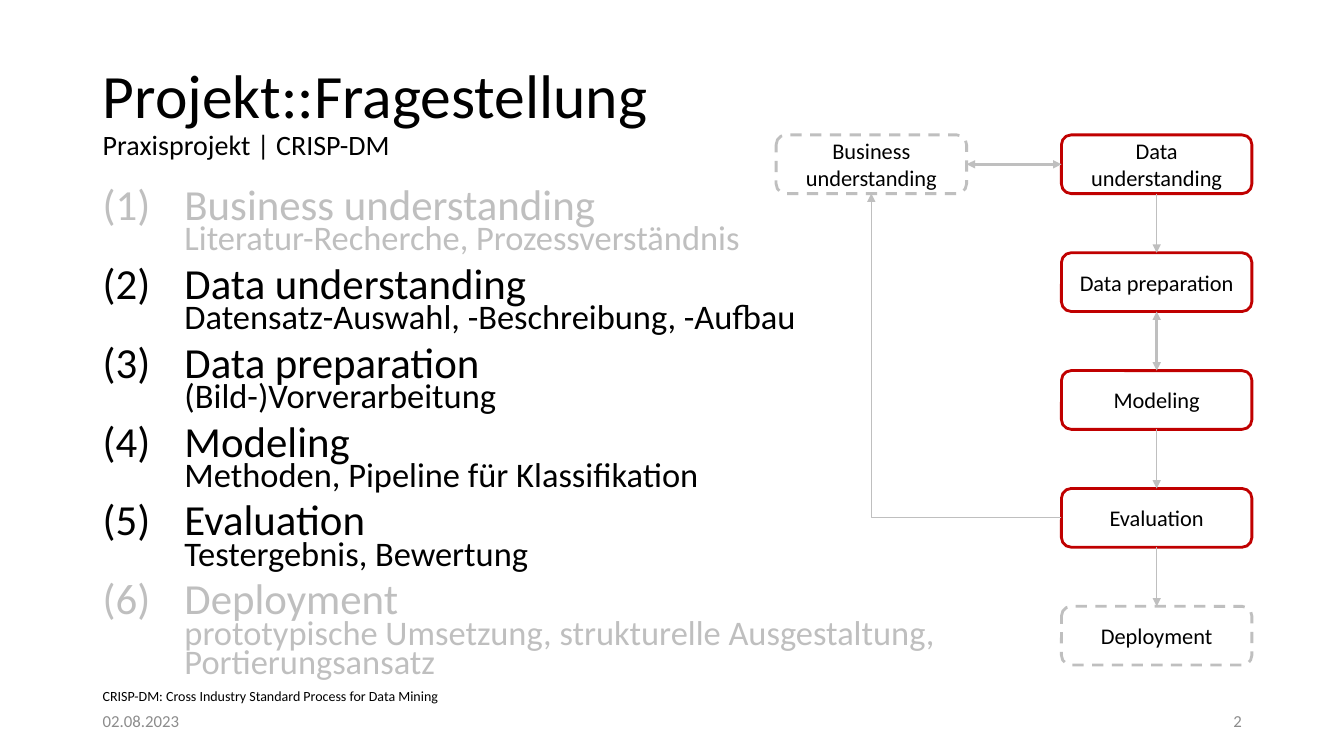
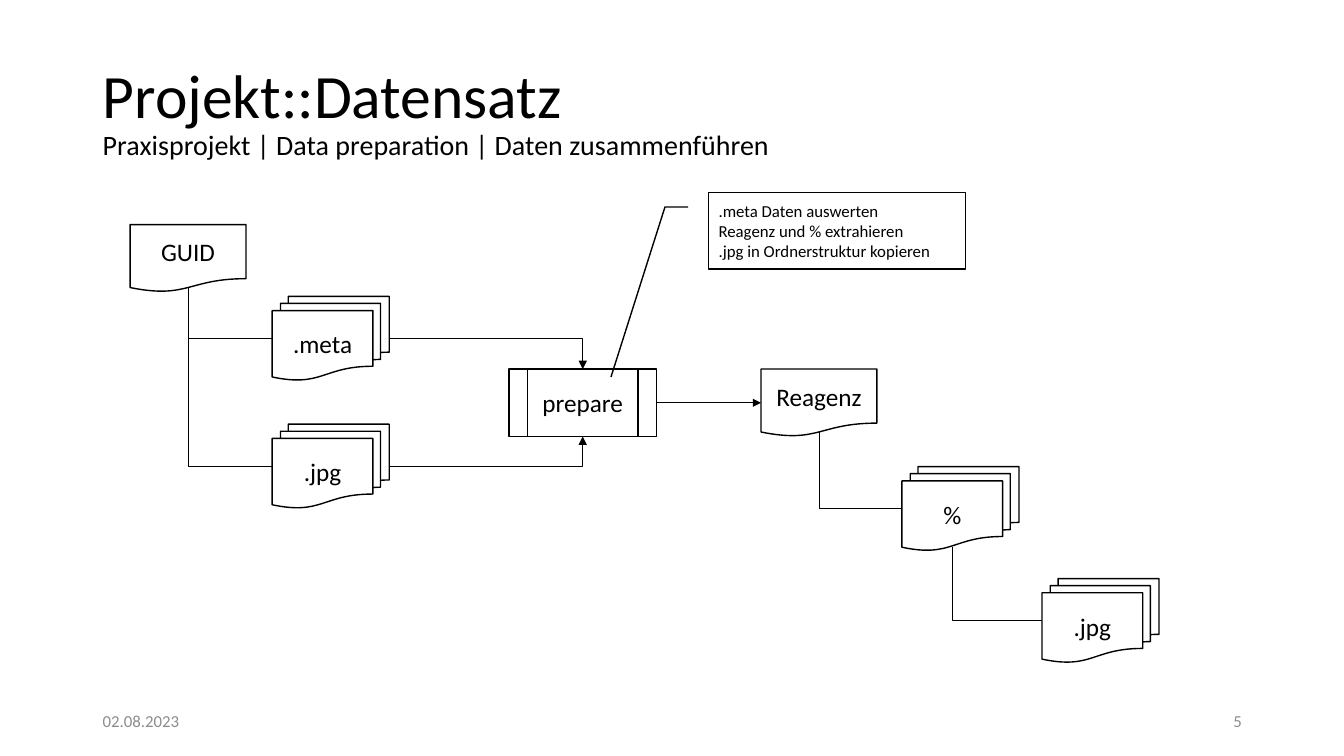
import pptx
import pptx.util
import pptx.dml.color
import pptx.enum.dml
import pptx.enum.shapes
import pptx.enum.text
import pptx.oxml.ns
import pptx.oxml.xmlchemy

Cm, Pt = pptx.util.Cm, pptx.util.Pt
RGB = pptx.dml.color.RGBColor
SHAPE = pptx.enum.shapes.MSO_SHAPE
LINK = pptx.enum.shapes.MSO_CONNECTOR
ALIGN = pptx.enum.text.PP_ALIGN
ANCHOR = pptx.enum.text.MSO_ANCHOR
DASH = pptx.enum.dml.MSO_LINE.DASH
qn = pptx.oxml.ns.qn
make = pptx.oxml.xmlchemy.OxmlElement

BLACK = RGB(0, 0, 0)
WHITE = RGB(255, 255, 255)
PALE = RGB(0xBF, 0xBF, 0xBF)
GREY = RGB(0x8C, 0x8C, 0x8C)
RED = RGB(0xC0, 0, 0)
FONT = "Calibri"
LEFT = 2.34
DATE = "02.08.2023"

# Step, details, part of this project
STEPS = [
    ("Business understanding", "Literatur-Recherche, Prozessverständnis", False),
    ("Data understanding", "Datensatz-Auswahl, -Beschreibung, -Aufbau", True),
    ("Data preparation", "(Bild-)Vorverarbeitung", True),
    ("Modeling", "Methoden, Pipeline für Klassifikation", True),
    ("Evaluation", "Testergebnis, Bewertung", True),
    ("Deployment",
     "prototypische Umsetzung, strukturelle Ausgestaltung,\vPortierungsansatz", False),
]
NOTE = "CRISP-DM: Cross Industry Standard Process for Data Mining"

BOX_W, BOX_H = 4.8, 1.48
BOX_X, BOX_Y, BOX_STEP = 26.75, 3.4, 2.97
START_X = 19.56

# Kind: preset shape, width, height
KINDS = {
    "doc": (SHAPE.FLOWCHART_DOCUMENT, 2.92, 1.7),
    "docs": (SHAPE.FLOWCHART_MULTIDOCUMENT, 2.95, 2.11),
    "process": (SHAPE.FLOWCHART_PREDEFINED_PROCESS, 3.71, 1.7),
}
# Node: kind, label, left, top
NODES = {
    "guid": ("doc", "GUID", 3.28, 5.66),
    "meta": ("docs", ".meta", 6.86, 7.47),
    "image": ("docs", ".jpg", 6.86, 10.69),
    "prepare": ("process", "prepare", 12.83, 9.3),
    "agent": ("doc", "Reagenz", 19.18, 9.3),
    "percent": ("docs", "%", 22.73, 11.76),
    "result": ("docs", ".jpg", 26.26, 14.58),
}
BRANCHES = [("guid", "meta"), ("guid", "image"), ("agent", "percent"), ("percent", "result")]
# Where a branch leaves its node, as shares of width and height
EXITS = {"doc": (0.5, 0.93), "docs": (0.43, 0.96)}
CALLOUT = [".meta Daten auswerten", "Reagenz und % extrahieren",
           ".jpg in Ordnerstruktur kopieren"]
CALLOUT_BENDS = [0.19, -0.08, 0.19, -0.17, 2.41, -0.38]


def style(para, size, color=BLACK, align=ALIGN.LEFT):
    para.font.name, para.font.size = FONT, Pt(size)
    para.font.color.rgb = color
    para.alignment = align


def add_text(slide, place, text, size, color=BLACK, align=ALIGN.LEFT,
             anchor=ANCHOR.TOP, wrap=True):
    frame = slide.shapes.add_textbox(*map(Cm, place)).text_frame
    frame.word_wrap, frame.vertical_anchor = wrap, anchor
    frame.text = text
    style(frame.paragraphs[0], size, color, align)
    return frame


def add_pair(para, head, detail, head_size, size):
    """Put a large line and smaller lines below it into one paragraph."""
    for text, points in ((head + "\v", head_size), (detail, size)):
        for i, part in enumerate(text.split("\v")):
            if i:
                para.add_line_break()
            if part:
                run = para.add_run()
                run.text, run.font.size = part, Pt(points)


def add_node(slide, kind, place, lines, size, line=BLACK, width=1,
             align=ALIGN.CENTER):
    shape = slide.shapes.add_shape(kind, *map(Cm, place))
    shape.shadow.inherit = False
    shape.fill.solid()
    shape.fill.fore_color.rgb = WHITE
    shape.line.color.rgb, shape.line.width = line, Pt(width)
    frame = shape.text_frame
    frame.word_wrap, frame.vertical_anchor = True, ANCHOR.MIDDLE
    frame.text = "\n".join(lines)
    for para in frame.paragraphs:
        style(para, size, BLACK, align)
    return shape


def add_link(slide, start, end, color=BLACK, width=0.5, heads=("tailEnd",)):
    """Link two points; an elbow runs across first, then up or down."""
    straight = start[0] == end[0] or start[1] == end[1]
    link = slide.shapes.add_connector(LINK.STRAIGHT if straight else LINK.ELBOW,
                                      *map(Cm, (*start, *end)))
    link.line.color.rgb, link.line.width = color, Pt(width)
    props = link._element.spPr
    if not straight:
        props.find(qn("a:prstGeom")).set("prst", "bentConnector2")
    for head in heads:
        mark = make("a:" + head)
        mark.set("type", "triangle")
        props.find(qn("a:ln")).append(mark)
    props.append(make("a:effectLst"))


def add_page(deck, title, topic, number):
    slide = deck.slides.add_slide(deck.slide_layouts[6])
    add_text(slide, (LEFT, 17.65, 7.62, 1.02), DATE, 12, GREY, anchor=ANCHOR.MIDDLE)
    add_text(slide, (23.93, 17.65, 7.62, 1.02), str(number), 12, GREY,
             ALIGN.RIGHT, ANCHOR.MIDDLE)
    frame = add_text(slide, (LEFT, 1.02, 29.21, 3.68), "", 44, anchor=ANCHOR.MIDDLE)
    para = frame.paragraphs[0]
    para.line_spacing = 0.9
    add_pair(para, title, topic, 44, 20)
    return slide


def add_steps(slide):
    frame = add_text(slide, (LEFT, 4.7, 25.88, 12.78), "", 30.6)
    for i, (head, detail, active) in enumerate(STEPS):
        para = frame.add_paragraph() if i else frame.paragraphs[0]
        style(para, 30.6, BLACK if active else PALE)
        para.line_spacing, para.space_before = 0.7, Pt(10)
        props = para._p.get_or_add_pPr()
        props.set("marL", str(Cm(2.06)))
        props.set("indent", str(-Cm(2.06)))
        bullet = make("a:buAutoNum")
        bullet.set("type", "arabicParenBoth")
        props.find(qn("a:defRPr")).addprevious(bullet)
        add_pair(para, head, detail, 30.6, 24.6)


def add_cycle(slide):
    spots = [(START_X, BOX_Y)] + [(BOX_X, BOX_Y + i * BOX_STEP)
                                  for i in range(len(STEPS) - 1)]
    for (x, y), (head, _, active) in zip(spots, STEPS):
        box = add_node(slide, SHAPE.ROUNDED_RECTANGLE, (x, y, BOX_W, BOX_H), [head],
                       16, RED if active else PALE, 2)
        box.fill.background()
        if not active:
            box.line.dash_style = DASH
    both = ("headEnd", "tailEnd")
    mid = BOX_Y + BOX_H / 2
    add_link(slide, (START_X + BOX_W, mid), (BOX_X, mid), PALE, 2, both)
    center = BOX_X + BOX_W / 2
    for (_, y), (head, _, _) in zip(spots[1:-1], STEPS[1:]):
        twoway = head == "Data preparation"
        add_link(slide, (center, y + BOX_H), (center, y + BOX_STEP), PALE,
                 2 if twoway else 0.5, both if twoway else both[1:])
    add_link(slide, (BOX_X, spots[4][1] + BOX_H / 2),
             (START_X + BOX_W / 2, BOX_Y + BOX_H), PALE)


def spot(name, across, down):
    """Return the point at these shares of a node's width and height."""
    kind, _, x, y = NODES[name]
    _, width, height = KINDS[kind]
    return x + across * width, y + down * height


def add_flow(slide):
    for kind, label, x, y in NODES.values():
        preset, width, height = KINDS[kind]
        add_node(slide, preset, (x, y, width, height), [label], 18)
    for parent, child in BRANCHES:
        add_link(slide, spot(child, 0, 0.5), spot(parent, *EXITS[NODES[parent][0]]),
                 heads=())
    add_link(slide, spot("meta", 1, 0.5), spot("prepare", 0.5, 0))
    add_link(slide, spot("image", 1, 0.5), spot("prepare", 0.5, 1))
    add_link(slide, spot("prepare", 1, 0.5), spot("agent", 0, 0.5))
    note = add_node(slide, SHAPE.LINE_CALLOUT_2, (17.86, 4.85, 6.48, 1.93), CALLOUT, 12,
                    align=ALIGN.LEFT)
    for i, bend in enumerate(CALLOUT_BENDS):
        note.adjustments[i] = bend


def main():
    deck = pptx.Presentation()
    deck.slide_width, deck.slide_height = Cm(33.87), Cm(19.05)
    slide = add_page(deck, "Projekt::Fragestellung", "Praxisprojekt | CRISP-DM", 2)
    add_cycle(slide)
    add_steps(slide)
    add_text(slide, (LEFT, 17.2, 9.09, 0.69), NOTE, 10, wrap=False)
    slide = add_page(deck, "Projekt::Datensatz",
                     "Praxisprojekt | Data preparation | Daten zusammenführen", 5)
    add_flow(slide)
    deck.save("out.pptx")


if __name__ == "__main__":
    main()
